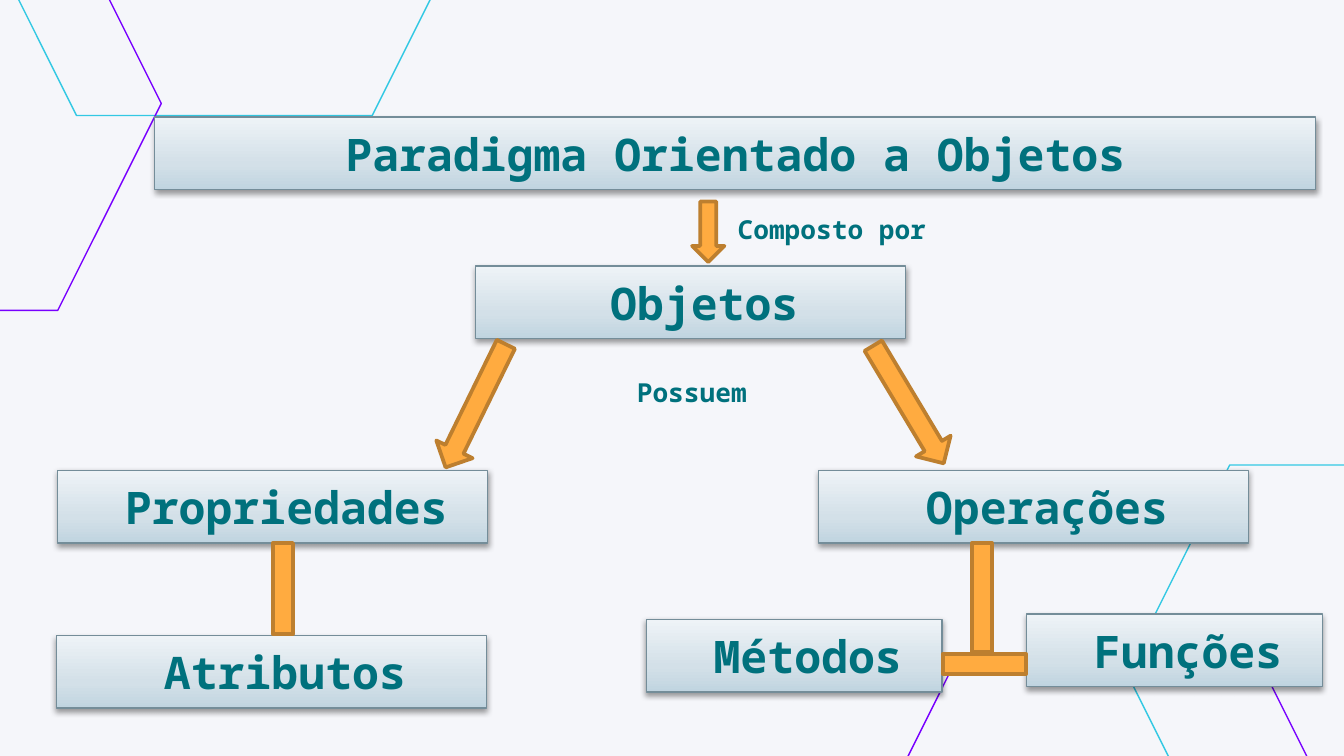
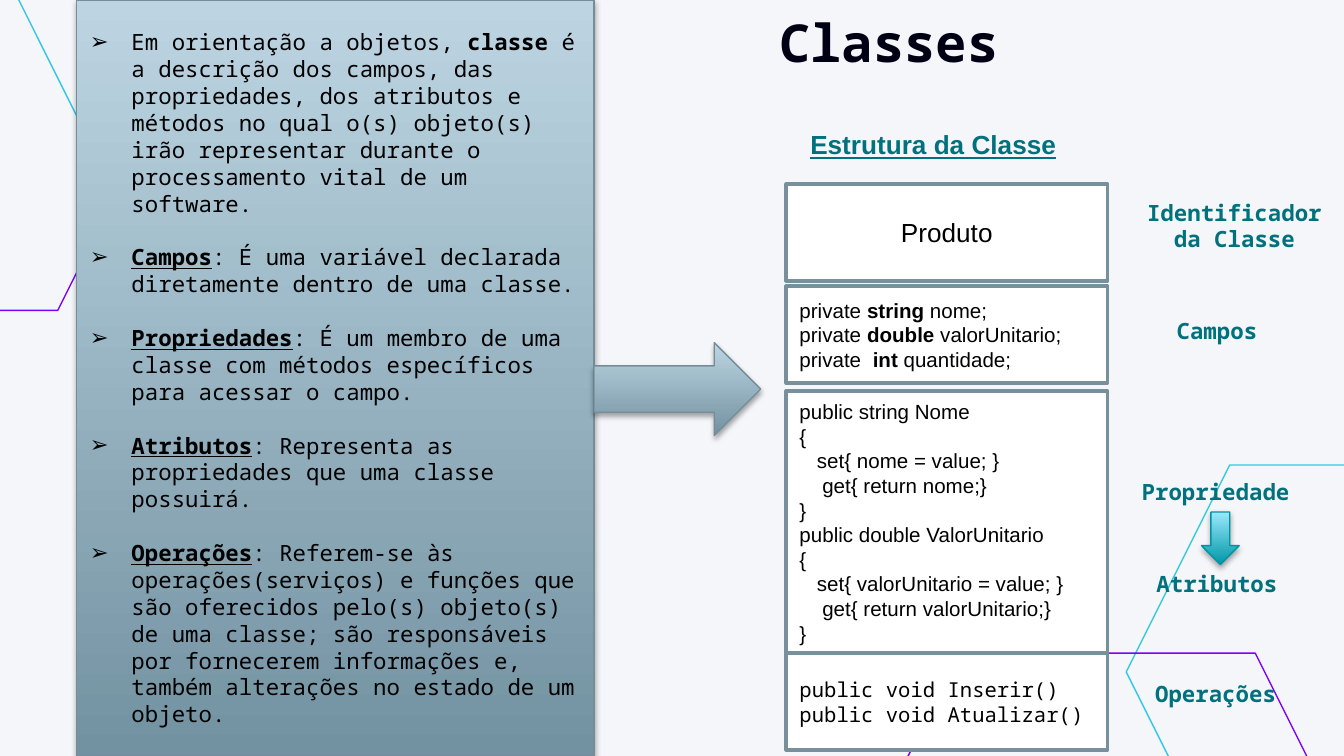
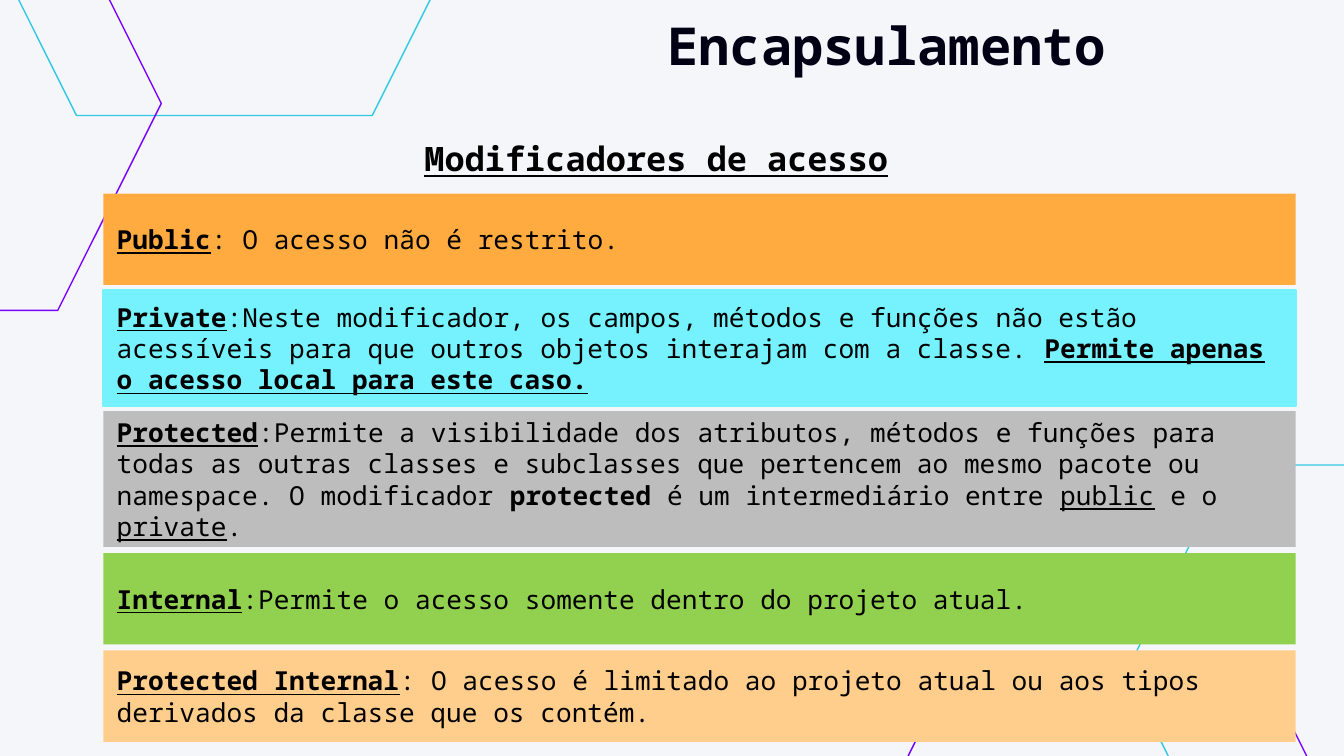
from dataclasses import dataclass
from lxml import etree
from pptx import Presentation
from pptx import util as u
from pptx.dml.color import RGBColor
from pptx.enum import shapes, text
from pptx.oxml.ns import qn

KIND = shapes.MSO_SHAPE
LEFT, CENTER = text.PP_ALIGN.LEFT, text.PP_ALIGN.CENTER


@dataclass(frozen=True)
class Theme:
    mono: str = "Noto Sans Mono"
    sans: str = "Arial"
    page: str = "F5F6FA"
    ink: str = "000000"
    heading: str = "000014"
    teal: str = "00717D"
    cyan: str = "32C8E3"
    violet: str = "7800FF"
    white: str = "FFFFFF"
    frame: str = "78909C"
    slate: str = "748D99"
    amber: str = "FFAB40"
    amber_edge: str = "BD7F2F"
    aqua_edge: str = "0094A3"
    # Gradients run from bottom to top: (percent, colour)
    mist: tuple = ((0, "C0D4E0"), (35, "D3E0E8"), (100, "EEF3F7"))
    steel: tuple = ((0, "7392A1"), (100, "BDD5E2"))
    aqua: tuple = ((0, "0097A7"), (100, "99E9FC"))
    title_size: int = 28
    node_size: int = 24
    subtitle_size: int = 18
    body_size: int = 14
    note_size: int = 12
    code_size: int = 11


T = Theme()
COLUMNS = 100                       # square grid cells across the slide
WIDTH = u.Inches(10)
HEIGHT = WIDTH * 9 // 16
CELL = WIDTH / COLUMNS
ROWS = HEIGHT / CELL

# ---- Content: places are (column, row, columns, rows) ----
HEXAGONS = [(83.8, 34.6, T.cyan), (63.7, 48.6, T.violet),
            (-2, -22.2, T.cyan), (-25.4, -7.7, T.violet)]
HEXAGON_SIZE = (37.4, 30.8)

NODE_ROWS = 5.4
NODES = [  # text, column, row, columns
    ("Paradigma Orientado a Objetos", 11.5, 8.7, 86.4),
    (" Objetos", 35.4, 19.8, 32),
    (" Propriedades", 4.3, 35, 32),
    (" Atributos", 4.2, 47.3, 32),
    (" Operações", 60.9, 35, 32),
    (" Métodos", 48.1, 46.1, 22),
    (" Funções", 76.4, 45.7, 22),
]
LINKS = [  # shape, place, rotation
    (KIND.DOWN_ARROW, (51.5, 15, 2.4, 4.5), 0),
    (KIND.DOWN_ARROW, (33.9, 25.1, 3, 10.2), 26.1),
    (KIND.DOWN_ARROW, (66.1, 25, 3, 10.2), 329.1),
    (KIND.RECTANGLE, (20.3, 40.4, 1.5, 6.8), 0),
    (KIND.RECTANGLE, (72.3, 40.4, 1.5, 8.1), 0),
    (KIND.RECTANGLE, (72.5, 46.3, 1.5, 6.2), 270),
]
LINK_LABELS = [("Composto por", (53.9, 15.4, 16.1, 3.4)),
               ("Possuem", (46.4, 27.5, 10.2, 3.4))]

# A paragraph is a string or a list of runs; a styled run is (text, "b"/"u"/"bu")
DEFINITIONS = [
    ["Em orientação a objetos, ", ("classe", "b"),
     " é a descrição dos campos, das propriedades, dos atributos e métodos no qual "
     "o(s) objeto(s) irão representar durante o processamento vital de um software."],
    [("Campos", "bu"), ": É uma variável declarada diretamente dentro de uma classe."],
    [("Propriedades", "bu"),
     ": É um membro de uma classe com métodos específicos para acessar o campo."],
    [("Atributos", "bu"), ": Representa as propriedades que uma classe possuirá."],
    [("Operações", "bu"),
     ": Referem-se às operações(serviços) e funções que são oferecidos pelo(s) objeto(s) "
     "de uma classe; são responsáveis por fornecerem informações e, também alterações no "
     "estado de um objeto."],
]
FIELDS = [["private ", ("string", "b"), " nome;"],
          ["private ", ("double", "b"), " valorUnitario;"],
          ["private  ", ("int", "b"), " quantidade;"]]
PROPERTIES = [("string", "Nome", "nome"), ("double", "ValorUnitario", "valorUnitario")]
OPERATIONS = ["public void Inserir()", "public void Atualizar()"]
CLASS_LABELS = [("Identificador da Classe", 83.7, 14.3, 5), ("Campos", 82.4, 23.1, 3),
                ("Propriedade", 82.3, 35.1, 3), ("Atributos", 82.4, 41.9, 3),
                ("Operações", 82.3, 50.1, 3)]

MODIFIERS = [  # fill, edge, rows, runs
    (T.amber, None, 6.8, [("Public", "bu"), ":\u00a0O acesso não é restrito."]),
    ("76F2FF", "76F2FF", 8.5,
     [("Private", "bu"),
      ":Neste modificador, os campos, métodos e funções não estão acessíveis para que "
      "outros objetos interajam com a classe. ",
      ("Permite apenas o acesso local para este caso.", "bu")]),
    ("BDBDBD", None, 10.1,
     [("Protected", "bu"),
      ":Permite a visibilidade dos atributos, métodos e funções para todas as outras "
      "classes e subclasses que pertencem ao mesmo pacote ou namespace. O modificador ",
      ("protected", "b"), " é um intermediário entre ", ("public", "u"), " e o ",
      ("private", "u"), "."]),
    ("92D050", None, 6.8,
     [("Internal", "bu"), ":Permite o acesso somente dentro do projeto atual."]),
    ("FFCD8C", None, 6.8,
     [("Protected Internal", "bu"),
      ": O acesso é limitado ao projeto atual ou aos tipos derivados da classe que os "
      "contém."]),
]


# ---- Drawing helpers ----
def rgb(value):
    return RGBColor.from_string(value)


def cells(place):
    return [u.Emu(round(n * CELL)) for n in place]


def add_color(parent, value):
    return etree.SubElement(parent, qn("a:srgbClr"), val=value)


def paint(shape, fill):
    """Fill with nothing, one colour, or gradient stops."""
    if fill is None:
        shape.fill.background()
    elif isinstance(fill, str):
        shape.fill.solid()
        shape.fill.fore_color.rgb = rgb(fill)
    else:
        shape.fill.gradient()
        shape.fill.gradient_angle = 90
        stops = shape._element.spPr.find(".//" + qn("a:gsLst"))
        for stop in list(stops):
            stops.remove(stop)
        for percent, value in fill:
            add_color(etree.SubElement(stops, qn("a:gs"), pos=str(percent * 1000)), value)


def draw(slide, kind, place, fill=None, edge=None, weight=0.75, rotation=0, shade=None):
    """Add a preset shape; shade is the shadow's (opacity percent, distance)."""
    shape = slide.shapes.add_shape(kind, *cells(place))
    shape.rotation = rotation
    paint(shape, fill)
    if edge:
        shape.line.color.rgb = rgb(edge)
        shape.line.width = u.Pt(weight)
    else:
        shape.line.fill.background()
    shape.shadow.inherit = False
    if shade:
        opacity, distance = shade
        shadow = etree.SubElement(
            shape._element.spPr.find(qn("a:effectLst")), qn("a:outerShdw"),
            blurRad=str(u.Pt(3.1)), dist=str(u.Pt(distance)), dir="5400000", rotWithShape="0")
        etree.SubElement(add_color(shadow, T.ink), qn("a:alpha"), val=str(opacity * 1000))
    return shape


def add_bullet(paragraph):
    paragraph_format = paragraph._p.get_or_add_pPr()
    paragraph_format.set("marL", str(u.Inches(0.31)))
    paragraph_format.set("indent", str(-u.Inches(0.31)))
    add_color(etree.SubElement(paragraph_format, qn("a:buClr")), T.ink)
    etree.SubElement(paragraph_format, qn("a:buFont"), typeface=T.sans)
    etree.SubElement(paragraph_format, qn("a:buChar"), char="➢")


def write(shape, paragraphs, size, color=T.ink, face=T.mono, style="", align=LEFT,
          bullets=False, gap=0):
    """Write paragraphs; leading blanks of code lines become a left indent."""
    frame = shape.text_frame
    frame.word_wrap = True
    for number, runs in enumerate(paragraphs):
        paragraph = frame.add_paragraph() if number else frame.paragraphs[0]
        paragraph.alignment = align
        if bullets:
            add_bullet(paragraph)
        if gap and number < len(paragraphs) - 1:
            paragraph.space_after = u.Pt(gap)
        fonts = [(paragraph.font, style)]
        for run in [runs] if isinstance(runs, str) else runs:
            words, run_style = (run, style) if isinstance(run, str) else run
            part = paragraph.add_run()
            part.text = words
            fonts.append((part.font, run_style))
        for font, marks in fonts:
            font.name, font.size = face, u.Pt(size)
            font.color.rgb = rgb(color)
            font.bold, font.underline = "b" in marks, "u" in marks
    return frame


def label(slide, words, place, size, wrap=True, **look):
    box = slide.shapes.add_textbox(*cells(place))
    frame = write(box, [words], size, **look)
    frame.word_wrap = wrap
    return frame


def new_slide(title=None, title_place=None):
    """Page colour, hexagon outlines and the optional title."""
    slide = deck.slides.add_slide(deck.slide_layouts[6])
    slide.background.fill.solid()
    slide.background.fill.fore_color.rgb = rgb(T.page)
    for column, row, color in HEXAGONS:
        draw(slide, KIND.HEXAGON, (column, row, *HEXAGON_SIZE), edge=color)
    if title:
        frame = label(slide, title, title_place, T.title_size, color=T.heading,
                      style="b", align=CENTER)
        frame.margin_top = frame.margin_bottom = u.Inches(0.1)
    return slide


deck = Presentation()
deck.slide_width, deck.slide_height = WIDTH, HEIGHT

# ---- Object-oriented paradigm map ----
paradigm = new_slide()
for name, column, row, columns in NODES:
    node = draw(paradigm, KIND.RECTANGLE, (column, row, columns, NODE_ROWS), T.mist, T.slate,
                shade=(38, 1.6))
    write(node, [name], T.node_size, T.teal, style="b", align=CENTER)
for kind, place, rotation in LINKS:
    draw(paradigm, kind, place, T.amber, T.amber_edge, 2, rotation)
for words, place in LINK_LABELS:
    label(paradigm, words, place, T.body_size, wrap=False, color=T.teal, style="b")

# ---- Classes ----
classes = new_slide("Classes", (32.3, -0.2, 67.7, 5.4))
soft = (35, 1.8)
panel = draw(classes, KIND.RECTANGLE, (5.7, 0, 38.5, ROWS), T.steel, T.slate, shade=soft)
write(panel, DEFINITIONS, T.note_size, bullets=True, gap=14.4)
draw(classes, KIND.RIGHT_ARROW, (44.2, 25.5, 12.4, 6.9), T.steel, T.slate, shade=soft)
label(classes, "Estrutura da Classe", (55.1, 9.1, 28.7, 3.4), T.body_size,
      color=T.teal, face=T.sans, style="bu", align=CENTER)

accessors = []   # (line, indent in inches)
for type_name, public_name, field in PROPERTIES:
    accessors += [(f"public {type_name} {public_name}", 0), ("{", 0),
                  (f"set{{ {field} = value; }}", 0.13), (f"get{{ return {field};}}", 0.17),
                  ("}", 0)]
class_boxes = [  # row, rows, paragraphs, size, face, alignment
    (13.7, 7.2, ["Produto"], T.body_size, T.sans, CENTER),
    (21.3, 7.2, FIELDS, T.code_size, T.sans, LEFT),
    (29.1, 19.5, [line for line, _ in accessors], T.code_size, T.sans, LEFT),
    (48.6, 7.2, OPERATIONS, T.code_size, T.mono, LEFT),
]
for row, rows, lines, size, face, align in class_boxes:
    box = draw(classes, KIND.RECTANGLE, (58.5, row, 23.9, rows), T.white, T.frame, 2)
    frame = write(box, lines, size, face=face, align=align)
    if len(lines) == len(accessors):
        for paragraph, (_, indent) in zip(frame.paragraphs, accessors):
            paragraph._p.get_or_add_pPr().set("marL", str(u.Inches(indent)))
for words, column, row, rows in CLASS_LABELS:
    label(classes, words, (column, row, 16.3, rows), T.note_size, color=T.teal,
          style="b", align=CENTER)
draw(classes, KIND.DOWN_ARROW, (89.4, 38.1, 2.8, 3.9), T.aqua, T.aqua_edge, shade=soft)

# ---- Encapsulation: access modifiers stacked at equal gaps ----
access = new_slide("Encapsulamento", (31.9, 0, 68.1, 5.4))
label(access, "Modificadores de acesso", (30.6, 9.8, 38.7, 4), T.subtitle_size, style="bu")
top, bottom = 14.4, 55.2
band_gap = (bottom - top - sum(m[2] for m in MODIFIERS)) / (len(MODIFIERS) - 1)
for fill, edge, rows, runs in MODIFIERS:
    band = draw(access, KIND.RECTANGLE, (7.7, top, 88.7, rows), fill, edge, 2)
    write(band, [runs], T.body_size)
    top += rows + band_gap

deck.save("out.pptx")
